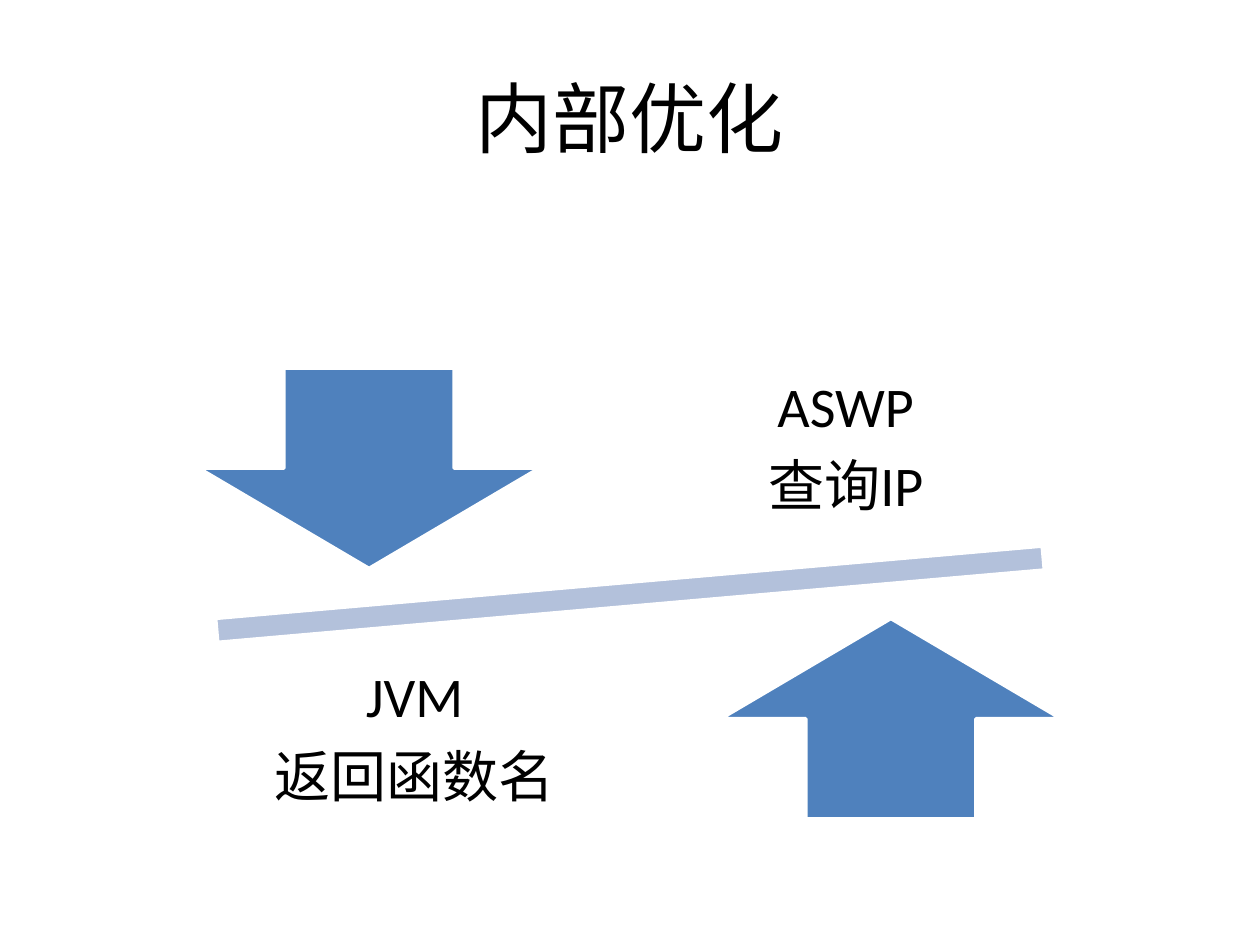
from pptx import Presentation
from pptx.dml.color import RGBColor as Rgb
from pptx.enum.shapes import MSO_SHAPE as Kind
from pptx.enum.text import MSO_ANCHOR as Anchor, PP_ALIGN as Align
from pptx.util import Cm, Pt

BLUE, PALE, WHITE, BLACK = "4F81BD", "B3C1DB", "FFFFFF", "000000"


def color(code):
    """Turn a hex string into a colour."""
    return Rgb.from_string(code)


def add_form(shapes, kind, box, fill, turn=0):
    """Add a filled preset shape with a white outline."""
    form = shapes.add_shape(kind, *map(Cm, box))
    form.shadow.inherit = False
    form.fill.solid()
    form.fill.fore_color.rgb = color(fill)
    form.line.color.rgb = color(WHITE)
    form.line.width = Pt(2)
    form.rotation = turn


def add_text(shapes, box, lines, size, inset=0.25, space=1, after=0):
    """Add a centred text box with one paragraph per line."""
    frame = shapes.add_textbox(*map(Cm, box)).text_frame
    frame.word_wrap = True
    frame.vertical_anchor = Anchor.MIDDLE
    frame.margin_left = frame.margin_right = Cm(inset)
    frame.margin_top = frame.margin_bottom = Cm(inset)
    frame.text = "\n".join(lines)
    for para in frame.paragraphs:
        para.alignment = Align.CENTER
        para.line_spacing = space
        para.space_after = Pt(after)
        para.font.size = Pt(size)
        para.font.name = "Calibri"
        para.font.color.rgb = color(BLACK)


def add_side(shapes, kind, arrow, label, lines):
    """Add one arrow and its label, each placed by its left top corner."""
    add_form(shapes, kind, (*arrow, 6.86, 4.04), BLUE)
    add_text(shapes, (*label, 7.32, 4.24), lines, 32, 0.64, 0.9, 11)


def main():
    """Build the slide and save it."""
    deck = Presentation()
    deck.slide_width, deck.slide_height = Cm(25.4), Cm(19.05)
    slide = deck.slides.add_slide(deck.slide_layouts[6])
    add_text(slide.shapes, (1.27, 0.76, 22.86, 3.18), ["内部优化"], 44)

    scale = slide.shapes.add_group_shape().shapes
    add_form(scale, Kind.MATH_MINUS, (1.32, 10.95, 22.76, 2.06), PALE, 355)
    add_side(scale, Kind.DOWN_ARROW, (4.01, 7.42), (13.39, 6.93),
             ["ASWP", "查询IP"])
    add_side(scale, Kind.UP_ARROW, (14.53, 12.47), (4.7, 12.78),
             ["JVM", "返回函数名"])
    deck.save("out.pptx")


main()
